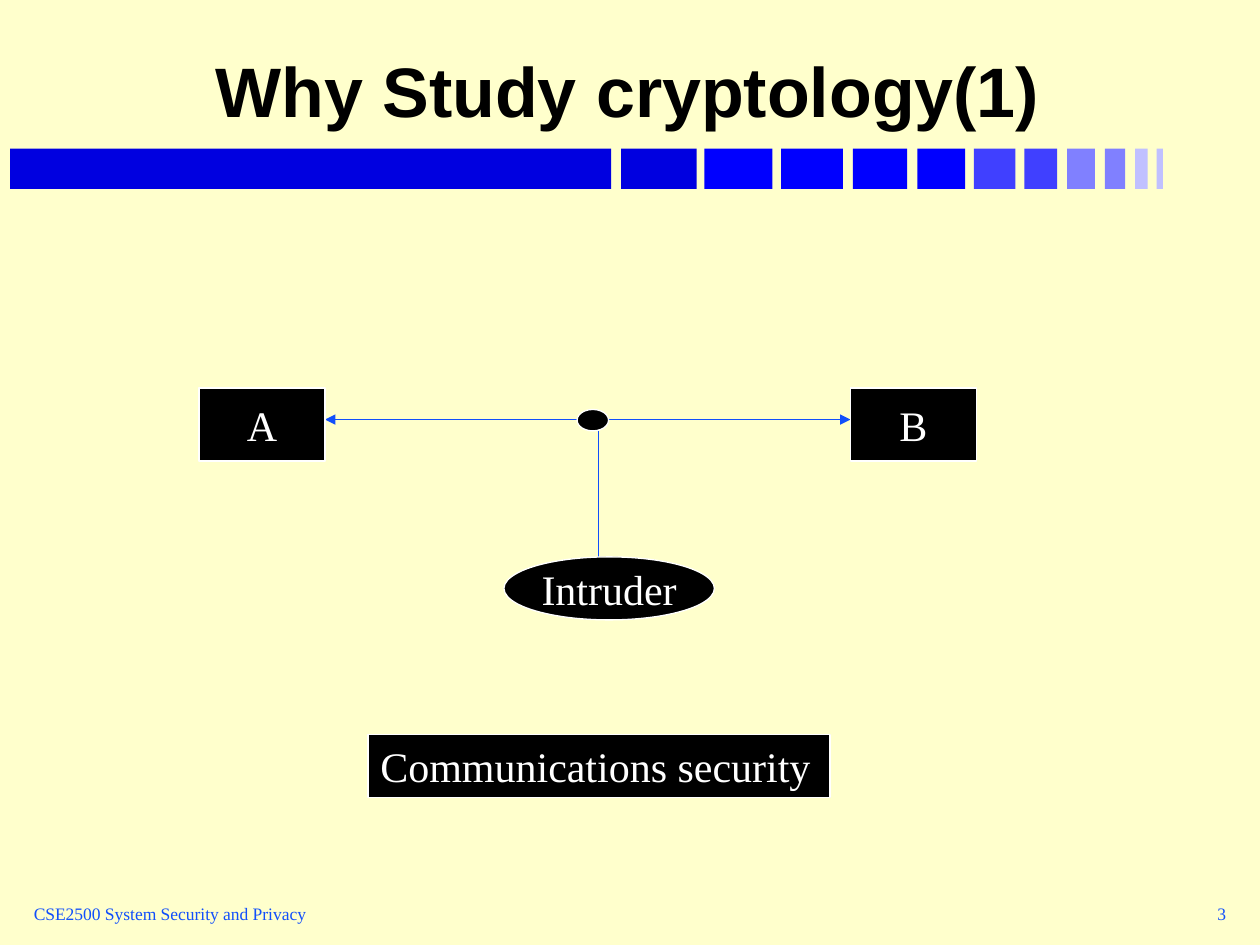
import pptx
import pptx.util
from dataclasses import dataclass
from lxml import etree
from pptx.dml.color import RGBColor
from pptx.enum.shapes import MSO_CONNECTOR, MSO_SHAPE
from pptx.enum.text import MSO_ANCHOR, MSO_AUTO_SIZE, PP_ALIGN
from pptx.oxml.ns import qn
from pptx.util import Inches, Pt


@dataclass(frozen=True)
class Theme:
    background: str = "FFFFCC"
    ink: str = "000000"
    paper: str = "FFFFFF"
    accent: str = "114FFB"
    heading_font: str = "Arial"
    body_font: str = "Times New Roman"
    title_size: int = 40
    label_size: int = 24
    footer_size: int = 10


theme = Theme()


def write(shape, text, size, color, font=theme.body_font, bold=False,
          align=PP_ALIGN.CENTER, anchor=MSO_ANCHOR.MIDDLE, wrap=False):
    frame = shape.text_frame
    frame.word_wrap = wrap
    frame.vertical_anchor = anchor
    paragraph = frame.paragraphs[0]
    paragraph.alignment = align
    run = paragraph.add_run()
    run.text = text
    run.font.name = font
    run.font.size = Pt(size)
    run.font.bold = bold
    run.font.color.rgb = RGBColor.from_string(color)


def add_block(kind, box, fill, outline=None, outline_width=0.75):
    block = slide.shapes.add_shape(kind, *map(Inches, box))
    block.shadow.inherit = False
    block.fill.solid()
    block.fill.fore_color.rgb = RGBColor.from_string(fill)
    if outline:
        block.line.color.rgb = RGBColor.from_string(outline)
        block.line.width = Pt(outline_width)
    else:
        block.line.fill.background()
    return block


deck = pptx.Presentation()
deck.slide_width, deck.slide_height = Inches(10), Inches(7.5)
slide = deck.slides.add_slide(deck.slide_layouts[6])
slide.background.fill.solid()
slide.background.fill.fore_color.rgb = RGBColor.from_string(theme.background)

# Fading bar under the title: left, width, colour
fading_bar = [
    (0.08, 4.77, "0000E0"), (4.93, 0.6, "0000E0"),
    (5.59, 0.54, "0000FF"), (6.2, 0.49, "0000FF"),
    (6.77, 0.43, "0000FF"), (7.28, 0.38, "0000FF"),
    (7.73, 0.33, "4040FF"), (8.13, 0.26, "4040FF"),
    (8.47, 0.22, "8080FF"), (8.77, 0.16, "8080FF"),
    (9.01, 0.1, "C0C0FF"), (9.18, 0.05, "C0C0FF"),
]
for left, width, color in fading_bar:
    add_block(MSO_SHAPE.RECTANGLE, (left, 1.18, width, 0.32), color)

# Footer and title
for text, left, width, align in [
    ("CSE2500 System Security and Privacy", 0.17, 3.17, PP_ALIGN.LEFT),
    ("3", 7.75, 2.08, PP_ALIGN.RIGHT),
]:
    footer = slide.shapes.add_textbox(Inches(left), Inches(7), Inches(width), Inches(0.5))
    write(footer, text, theme.footer_size, theme.accent, align=align)

title = slide.shapes.add_textbox(Inches(0.83), Inches(0.17), Inches(8.3), Inches(0.92))
write(title, "Why Study cryptology(1)", theme.title_size, theme.ink,
      font=theme.heading_font, bold=True, anchor=MSO_ANCHOR.BOTTOM, wrap=True)

# Channel between A and B, tapped by the intruder
for start, end, two_way in [
    ((2.58, 3.33), (6.75, 3.33), True),
    ((4.75, 4.42), (4.75, 3.42), False),
]:
    link = slide.shapes.add_connector(MSO_CONNECTOR.STRAIGHT, *map(Inches, start + end))
    link.line.color.rgb = RGBColor.from_string(theme.accent)
    link.line.width = Pt(0.75)
    if two_way:
        outline = link.line._get_or_add_ln()
        for arrowhead in ("a:headEnd", "a:tailEnd"):
            etree.SubElement(outline, qn(arrowhead), type="triangle")
    etree.SubElement(link._element.spPr, qn("a:effectLst"))

add_block(MSO_SHAPE.OVAL, (4.58, 3.25, 0.25, 0.17), theme.ink, theme.paper)

for name, kind, box in [
    ("A", MSO_SHAPE.RECTANGLE, (1.58, 3.08, 1, 0.58)),
    ("B", MSO_SHAPE.RECTANGLE, (6.75, 3.08, 1, 0.58)),
    ("Intruder", MSO_SHAPE.OVAL, (4, 4.42, 1.67, 0.5)),
]:
    party = add_block(kind, box, theme.ink, theme.paper)
    write(party, name, theme.label_size, theme.paper)

caption = add_block(MSO_SHAPE.RECTANGLE, (2.92, 5.83, 3.67, 0.5),
                    theme.ink, theme.paper, outline_width=1)
write(caption, "Communications security", theme.label_size, theme.paper,
      align=PP_ALIGN.LEFT, anchor=MSO_ANCHOR.TOP, wrap=True)
caption.text_frame.auto_size = MSO_AUTO_SIZE.SHAPE_TO_FIT_TEXT
caption.text_frame.paragraphs[0].space_before = Pt(15)

deck.save("out.pptx")
